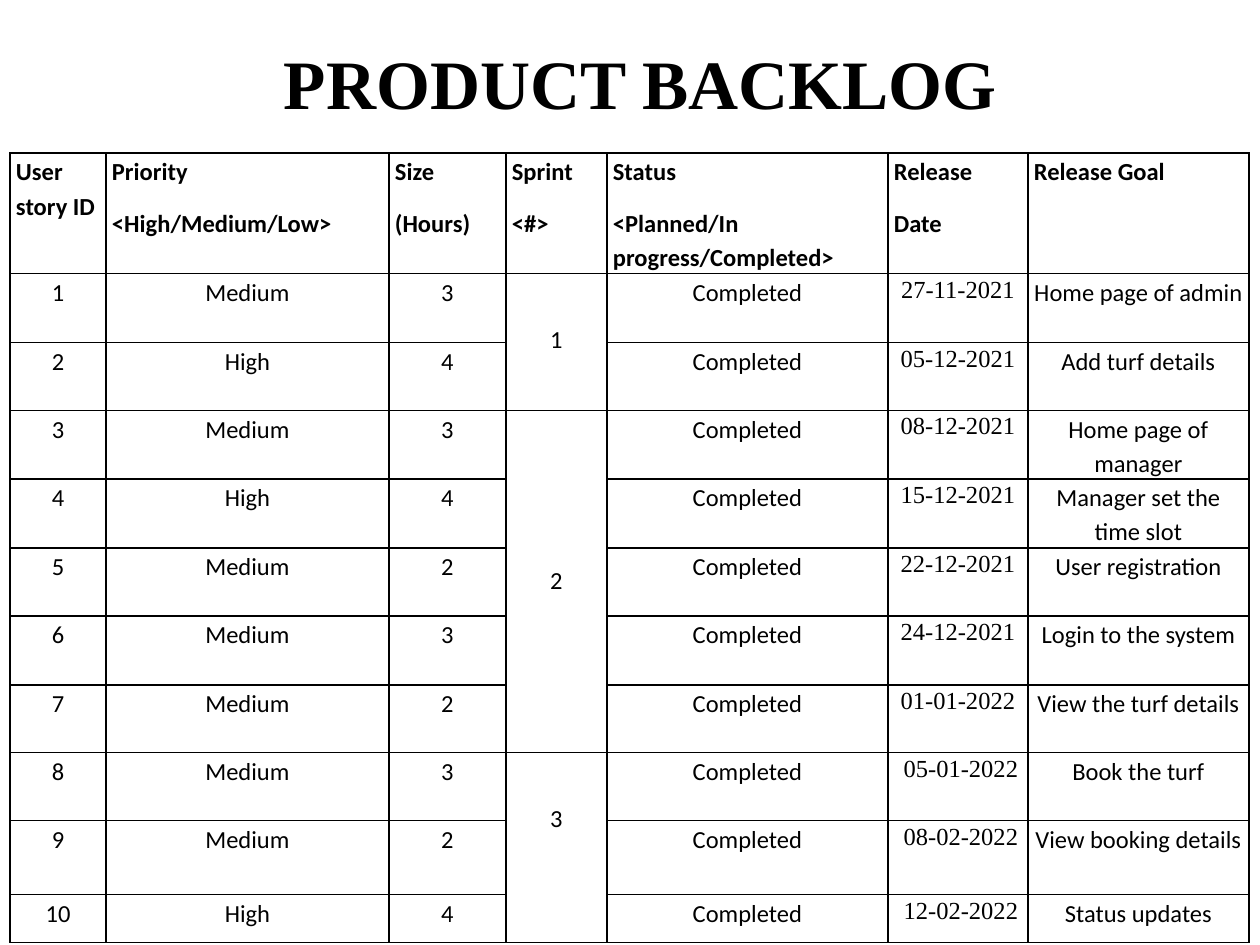
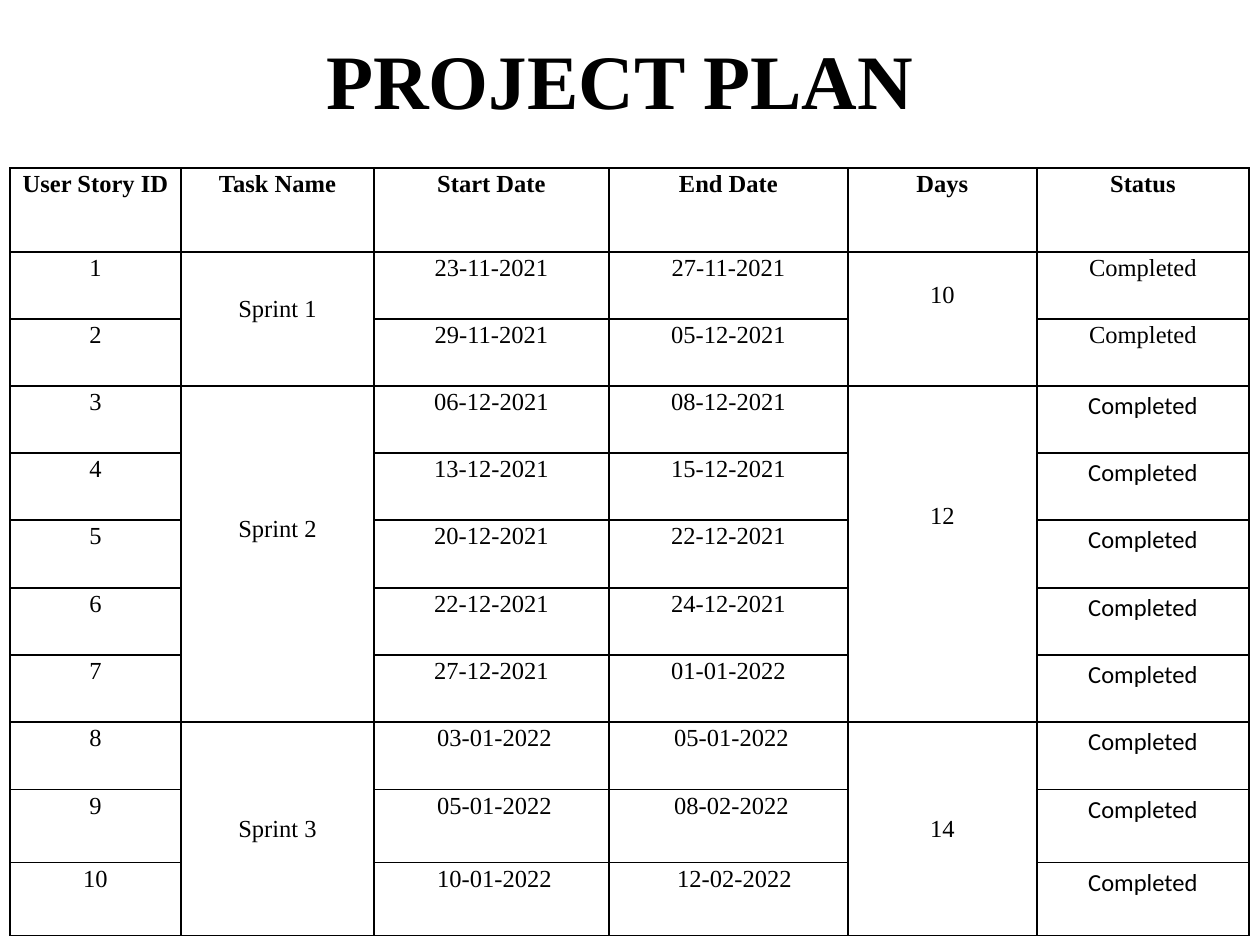
"""Build the product backlog and project plan slides."""
from lxml import etree
from pptx import Presentation
from pptx.dml.color import RGBColor
from pptx.enum.text import MSO_ANCHOR, MSO_AUTO_SIZE, PP_ALIGN
from pptx.oxml.ns import qn
from pptx.util import Emu, Pt

PX = 914400 / 126
BLACK = RGBColor(0x00, 0x00, 0x00)
WHITE = RGBColor(0xFF, 0xFF, 0xFF)
SERIF, SANS = "Times New Roman", "Calibri"
SPACING = {SERIF: (1.07, 8), SANS: (1.15, 10)}
LEFT, CENTER = PP_ALIGN.LEFT, PP_ALIGN.CENTER
MIDDLE, TOP = MSO_ANCHOR.MIDDLE, MSO_ANCHOR.TOP
NO_AUTOFIT = MSO_AUTO_SIZE.NONE
SPRINT_ROWS = [(1, 2), (3, 7), (8, 10)]
DONE = "Completed"


def px(length):
    return Emu(round(length * PX))


def add_borders(cell):
    properties = cell._tc.get_or_add_tcPr()
    for side in ("a:lnL", "a:lnR", "a:lnT", "a:lnB"):
        line = etree.SubElement(properties, qn(side), w=str(Pt(1)))
        fill = etree.SubElement(line, qn("a:solidFill"))
        etree.SubElement(fill, qn("a:srgbClr"), val=str(BLACK))


stories = [
    ("Medium", "3", "23-11-2021", "27-11-2021", "Home page of admin"),
    ("High", "4", "29-11-2021", "05-12-2021", "Add turf details"),
    ("Medium", "3", "06-12-2021", "08-12-2021", "Home page of manager"),
    ("High", "4", "13-12-2021", "15-12-2021", "Manager set the time slot"),
    ("Medium", "2", "20-12-2021", "22-12-2021", "User registration"),
    ("Medium", "3", "22-12-2021", "24-12-2021", "Login to the system"),
    ("Medium", "2", "27-12-2021", "01-01-2022", "View the turf details"),
    ("Medium", "3", "03-01-2022", "05-01-2022", "Book the turf"),
    ("Medium", "2", "05-01-2022", "08-02-2022", "View booking details"),
    ("High", "4", "10-01-2022", "12-02-2022", "Status updates"),
]
backlog_rows = [("User story ID", "Priority\n<High/Medium/Low>", "Size\n(Hours)", "Sprint\n<#>",
                 "Status\n<Planned/In progress/Completed>", "Release\nDate", "Release Goal")]
plan_rows = [("User Story ID", "Task Name", "Start Date", "End Date", "Days", "Status")]
for number, (priority, hours, start, end, goal) in enumerate(stories, 1):
    backlog_rows.append((str(number), priority, hours, "", DONE, end, goal))
    plan_rows.append((str(number), "", start, end, "", DONE))

pages = [
    {
        "title": "PRODUCT BACKLOG", "title_size": 39.6, "title_box": (84, 38, 1113, 88),
        "top": 153, "rows": backlog_rows, "header_align": LEFT,
        "widths": [96, 283, 117, 101, 281, 140, 221],
        "heights": [120, 69, 68, 68, 69, 68, 69, 68, 68, 74, 48],
        "font": SANS, "other_font": SERIF, "other_column": 5, "other_from": 1,
        "date_columns": [5],
        "merged": {3: [("1", 47), ("2", 151), ("3", 47)]},
    },
    {
        "title": "PROJECT PLAN", "title_size": 44, "title_box": (53, 0, 1134, 158),
        "top": 168, "rows": plan_rows, "header_align": CENTER,
        "widths": [171, 193, 235, 239, 189, 212],
        "heights": [84, 67, 67, 67, 67, 68, 67, 67, 68, 73, 73],
        "font": SERIF, "other_font": SANS, "other_column": 5, "other_from": 3,
        "date_columns": [2, 3],
        "merged": {1: [("Sprint 1", 42), ("Sprint 2", 128), ("Sprint 3", None)],
                   4: [("10", 28), ("12", 115), ("14", None)]},
    },
]

prs = Presentation()
prs.slide_width, prs.slide_height = px(1260), px(945)

for page in pages:
    slide = prs.slides.add_slide(prs.slide_layouts[5])
    title = slide.shapes.title
    title.left, title.top, title.width, title.height = map(px, page["title_box"])
    title.text_frame.text = page["title"]
    title.text_frame.auto_size = NO_AUTOFIT
    title.text_frame.vertical_anchor = MIDDLE
    heading = title.text_frame.paragraphs[0]
    heading.alignment = CENTER
    heading.font.name, heading.font.size = SERIF, Pt(page["title_size"])
    heading.font.bold, heading.font.color.rgb = True, BLACK

    widths, heights, rows = page["widths"], page["heights"], page["rows"]
    table = slide.shapes.add_table(len(rows), len(widths), px(10), px(page["top"]),
                                   px(sum(widths)), px(sum(heights))).table
    table.first_row = table.horz_banding = False
    for column, width in zip(table.columns, widths):
        column.width = px(width)
    for row, height in zip(table.rows, heights):
        row.height = px(height)

    merged_texts = {}
    for c, sprints in page["merged"].items():
        for (first, last), sprint in zip(SPRINT_ROWS, sprints):
            table.cell(first, c).merge(table.cell(last, c))
            merged_texts[first, c] = sprint

    for r, row_texts in enumerate(rows):
        for c, row_text in enumerate(row_texts):
            cell = table.cell(r, c)
            add_borders(cell)
            cell.fill.solid()
            cell.fill.fore_color.rgb = WHITE
            if cell.is_spanned:
                continue
            is_other = c == page["other_column"] and r >= page["other_from"]
            font = page["other_font"] if is_other else page["font"]
            default_top = 1 if SERIF in (font, page["font"]) else 0
            text, top = merged_texts.get((r, c), (row_text, default_top))
            indent = 6 if c in page["date_columns"] and r >= 8 else 0
            if text == "12-02-2022" and page["font"] == SERIF:
                indent = 12
            cell.margin_left, cell.margin_right = px(6 + indent), px(6)
            cell.margin_top, cell.margin_bottom = px(top or 0), px(0)
            cell.vertical_anchor = MIDDLE if top is None else TOP
            cell.text = text
            line_spacing, space_after = SPACING[font]
            for paragraph in cell.text_frame.paragraphs:
                paragraph.alignment = CENTER if r else page["header_align"]
                paragraph.line_spacing = line_spacing
                paragraph.space_after = Pt(space_after)
                paragraph.font.name, paragraph.font.size = font, Pt(14)
                paragraph.font.bold = r == 0
                paragraph.font.color.rgb = BLACK

prs.save("out.pptx")
